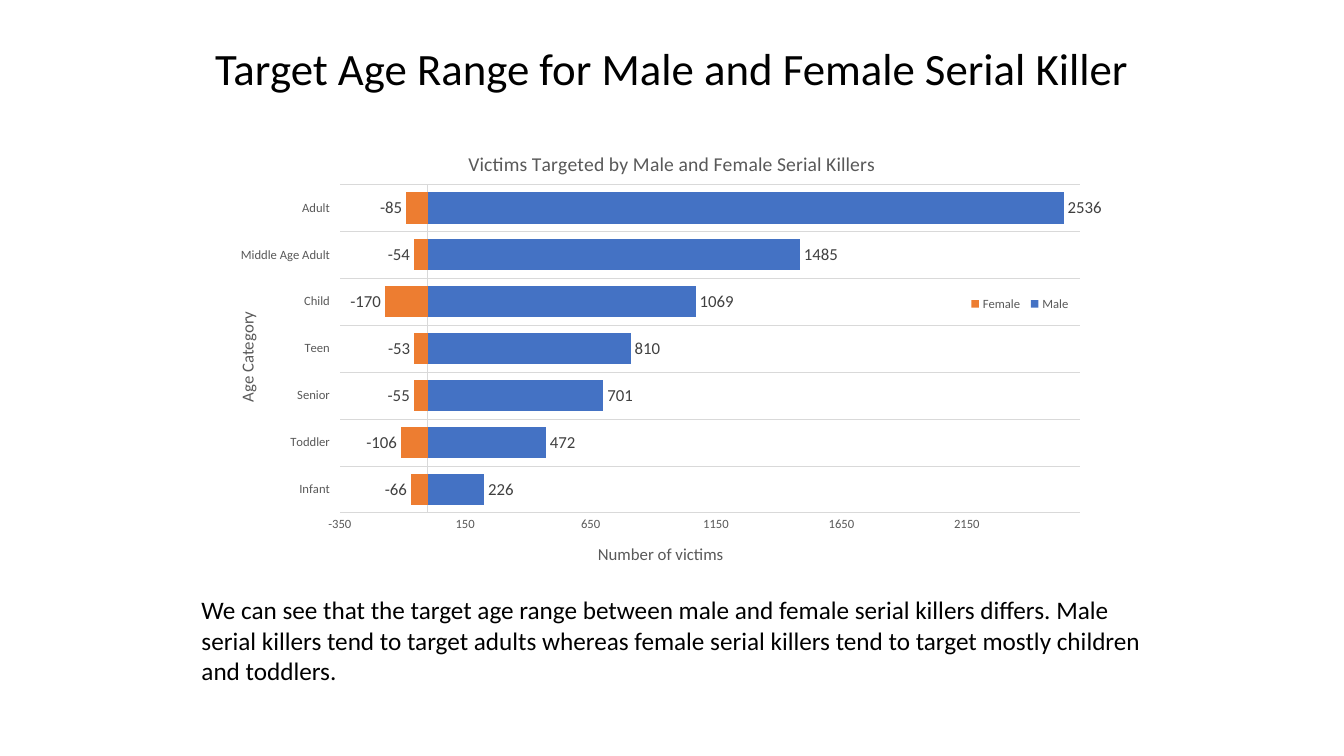
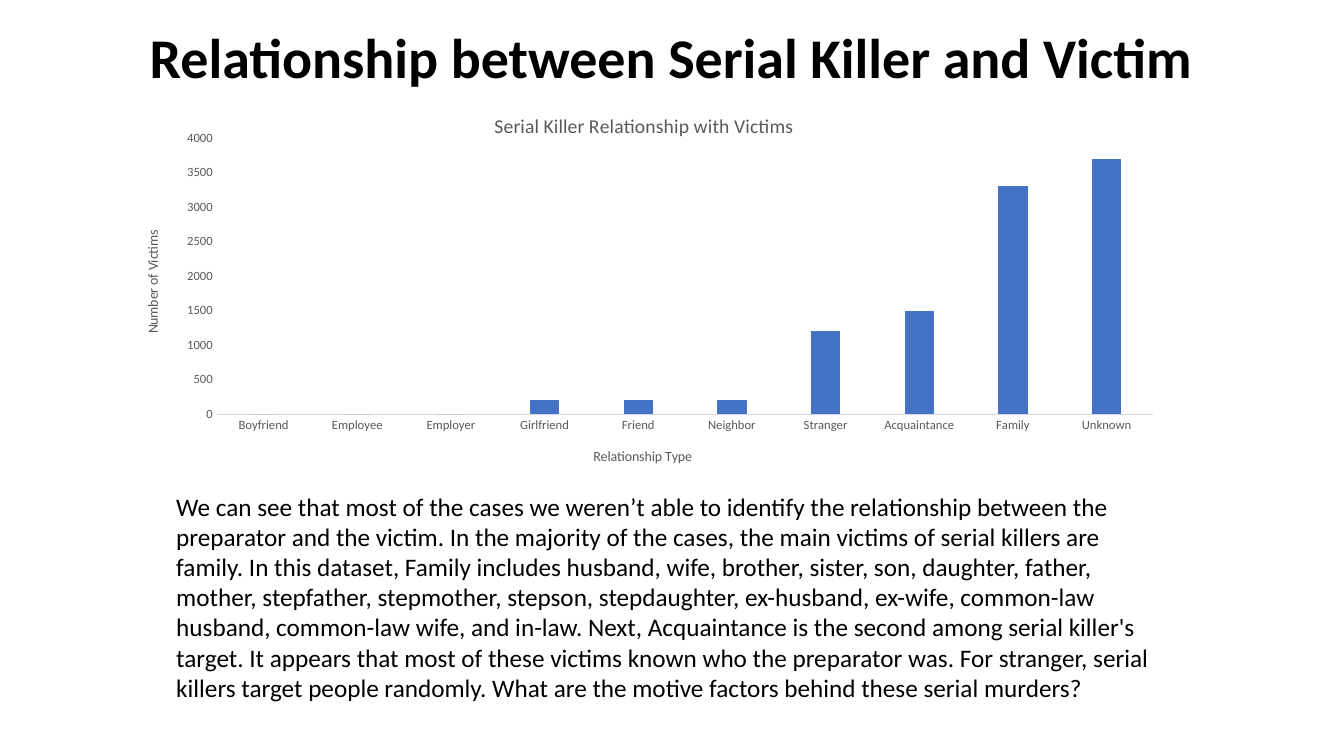
from lxml import etree
from pptx import Presentation
from pptx.chart.data import CategoryChartData
from pptx.dml.color import RGBColor
from pptx.enum.chart import (XL_CHART_TYPE, XL_LABEL_POSITION, XL_LEGEND_POSITION,
                             XL_TICK_LABEL_POSITION, XL_TICK_MARK)
from pptx.enum.text import PP_ALIGN
from pptx.oxml.ns import qn
from pptx.util import Inches, Pt

FONT = "Calibri"
BLACK, GREY, DARK, RULE = "000000", "595959", "404040", "D9D9D9"
BLUE, ORANGE = "4472C4", "ED7D31"


def color(value):
    return RGBColor.from_string(value)


def set_font(font, size, value, bold=False):
    font.name = FONT
    font.size = Pt(size)
    font.bold = bold
    font.color.rgb = color(value)


def add_text(slide, box, text, size, bold=False, align=PP_ALIGN.LEFT):
    frame = slide.shapes.add_textbox(*map(Inches, box)).text_frame
    frame.word_wrap = True
    paragraph = frame.paragraphs[0]
    paragraph.text = text
    paragraph.alignment = align
    set_font(paragraph.font, size, BLACK, bold)


def set_layout(element, index, chart_box, area, inner=False):
    for old in element.findall(qn("c:layout")):
        element.remove(old)
    layout = etree.Element(qn("c:layout"))
    element.insert(index, layout)
    manual = etree.SubElement(layout, qn("c:manualLayout"))
    settings = [("layoutTarget", "inner")] if inner else []
    settings += [("xMode", "edge"), ("yMode", "edge")]
    sizes = chart_box[2:] * 2
    settings += [(tag, f"{length / size:.4f}")
                 for tag, length, size in zip("xywh", area, sizes)]
    for tag, value in settings:
        etree.SubElement(manual, qn("c:" + tag)).set("val", value)


def style_title(title, text, size, chart_box, position):
    title.text_frame.text = text
    set_font(title.text_frame.paragraphs[0].font, size, GREY)
    set_layout(title._element, 1, chart_box, position)


def style_axis(axis, title, size, chart_box, vertical):
    axis.major_tick_mark = axis.minor_tick_mark = XL_TICK_MARK.NONE
    axis.has_major_gridlines = False
    set_font(axis.tick_labels.font, 9, GREY)
    text, position = title
    style_title(axis.axis_title, text, size, chart_box, position)
    if vertical:
        body = axis.axis_title.text_frame._txBody.bodyPr
        body.set("rot", "-5400000")
        body.set("vert", "horz")


def rule_line(line):
    line.color.rgb = color(RULE)
    line.width = Pt(0.75)


def add_bars(slide, box, kind, categories, series, title, category_title, value_title,
             axis_size, plot_area, gap, overlap, scale):
    data = CategoryChartData()
    data.categories = categories
    for name, values, _ in series:
        data.add_series(name, values)
    chart = slide.shapes.add_chart(kind, *map(Inches, box), data).chart
    set_font(chart.font, 10, BLACK)
    chart.has_legend = False
    chart.has_title = True
    text, position = title
    style_title(chart.chart_title, text, 14, box, position)
    chart.chart_title.include_in_layout = False

    horizontal = kind == XL_CHART_TYPE.BAR_CLUSTERED
    style_axis(chart.category_axis, category_title, axis_size, box, horizontal)
    style_axis(chart.value_axis, value_title, axis_size, box, not horizontal)
    rule_line(chart.category_axis.format.line)
    chart.value_axis.format.line.fill.background()
    chart.value_axis.minimum_scale, chart.value_axis.maximum_scale = scale
    chart.value_axis.major_unit = 500

    plot = chart.plots[0]
    plot.gap_width, plot.overlap, plot.vary_by_categories = gap, overlap, False
    for bars, (_, _, fill) in zip(plot.series, series):
        bars.invert_if_negative = False
        bars.format.fill.solid()
        bars.format.fill.fore_color.rgb = color(fill)
    set_layout(chart._chartSpace.chart.plotArea, 0, box, plot_area, inner=True)
    return chart


def add_age_chart(slide, box):
    chart = add_bars(
        slide, box, XL_CHART_TYPE.BAR_CLUSTERED,
        ["Infant", "Toddler", "Senior", "Teen", "Child", "Middle Age Adult", "Adult"],
        [("Male", (226, 472, 701, 810, 1069, 1485, 2536), BLUE),
         ("Female", (-66, -106, -55, -53, -170, -54, -85), ORANGE)],
        ("Victims Targeted by Male and Female Serial Killers", (2.3, 0.14)),
        ("Age Category", (0, 1.74)), ("Number of victims", (3.59, 4.03)),
        12, (1.06, 0.51, 7.34, 3.26), 50, 100, (-350, 2600))
    categories = chart.category_axis
    categories.tick_label_position = XL_TICK_LABEL_POSITION.LOW
    categories.has_major_gridlines = True
    rule_line(categories.major_gridlines.format.line)
    for bars in chart.plots[0].series:
        labels = bars.data_labels
        labels.show_value = True
        labels.position = XL_LABEL_POSITION.OUTSIDE_END
        set_font(labels.font, 12, DARK)
    chart.has_legend = True
    legend = chart.legend
    legend.position = XL_LEGEND_POSITION.BOTTOM
    legend.include_in_layout = False
    set_font(legend.font, 9, GREY)
    set_layout(legend._element, 1, box, (7.26, 1.57, 1.09, 0.25))


def add_relationship_chart(slide, box):
    add_bars(
        slide, box, XL_CHART_TYPE.COLUMN_CLUSTERED,
        ["Boyfriend", "Employee", "Employer", "Girlfriend", "Friend", "Neighbor",
         "Stranger", "Acquaintance", "Family", "Unknown"],
        [("Series 1", (0, 0, 0, 200, 200, 200, 1200, 1500, 3300, 3700), BLUE)],
        ("Serial Killer Relationship with Victims", (3.76, 0.13)),
        ("Relationship Type", (4.75, 3.46)), ("Number of Victims", (0.29, 1.31)),
        10, (1.04, 0.42, 9.29, 2.74), 219, -27, (0, 4000))


def add_chart_slide(presentation, draw_chart, chart_box, title, title_box, title_size,
                    bold, text, text_box):
    slide = presentation.slides.add_slide(presentation.slide_layouts[6])
    draw_chart(slide, chart_box)
    add_text(slide, title_box, title, title_size, bold, PP_ALIGN.CENTER)
    add_text(slide, text_box, text, 18)


def main():
    presentation = Presentation()
    presentation.slide_width = Inches(13.33)
    presentation.slide_height = Inches(7.5)
    add_chart_slide(
        presentation, add_age_chart, (2.31, 1.32, 8.72, 4.4),
        "Target Age Range for Male and Female Serial Killer",
        (1.83, 0.36, 9.67, 0.64), 32, False,
        "We can see that the target age range between male and female serial killers "
        "differs. Male serial killers tend to target adults whereas female serial killers "
        "tend to target mostly children and toddlers.",
        (1.9, 5.85, 9.6, 1.01))
    add_chart_slide(
        presentation, add_relationship_chart, (1.11, 0.95, 10.57, 4.09),
        "Relationship between Serial Killer and Victim",
        (1.33, 0.17, 10.65, 0.77), 40, True,
        "We can see that most of the cases we weren’t able to identify the relationship "
        "between the preparator and the victim. In the majority of the cases, the main "
        "victims of serial killers are family. In this dataset, Family includes husband, "
        "wife, brother, sister, son, daughter, father, mother, stepfather, stepmother, "
        "stepson, stepdaughter, ex-husband, ex-wife, common-law husband, common-law wife, "
        "and in-law. Next, Acquaintance is the second among serial killer's target. It "
        "appears that most of these victims known who the preparator was. For stranger, "
        "serial killers target people randomly. What are the motive factors behind these "
        "serial murders?",
        (1.65, 4.82, 10.03, 2.22))
    presentation.save("out.pptx")


if __name__ == "__main__":
    main()
